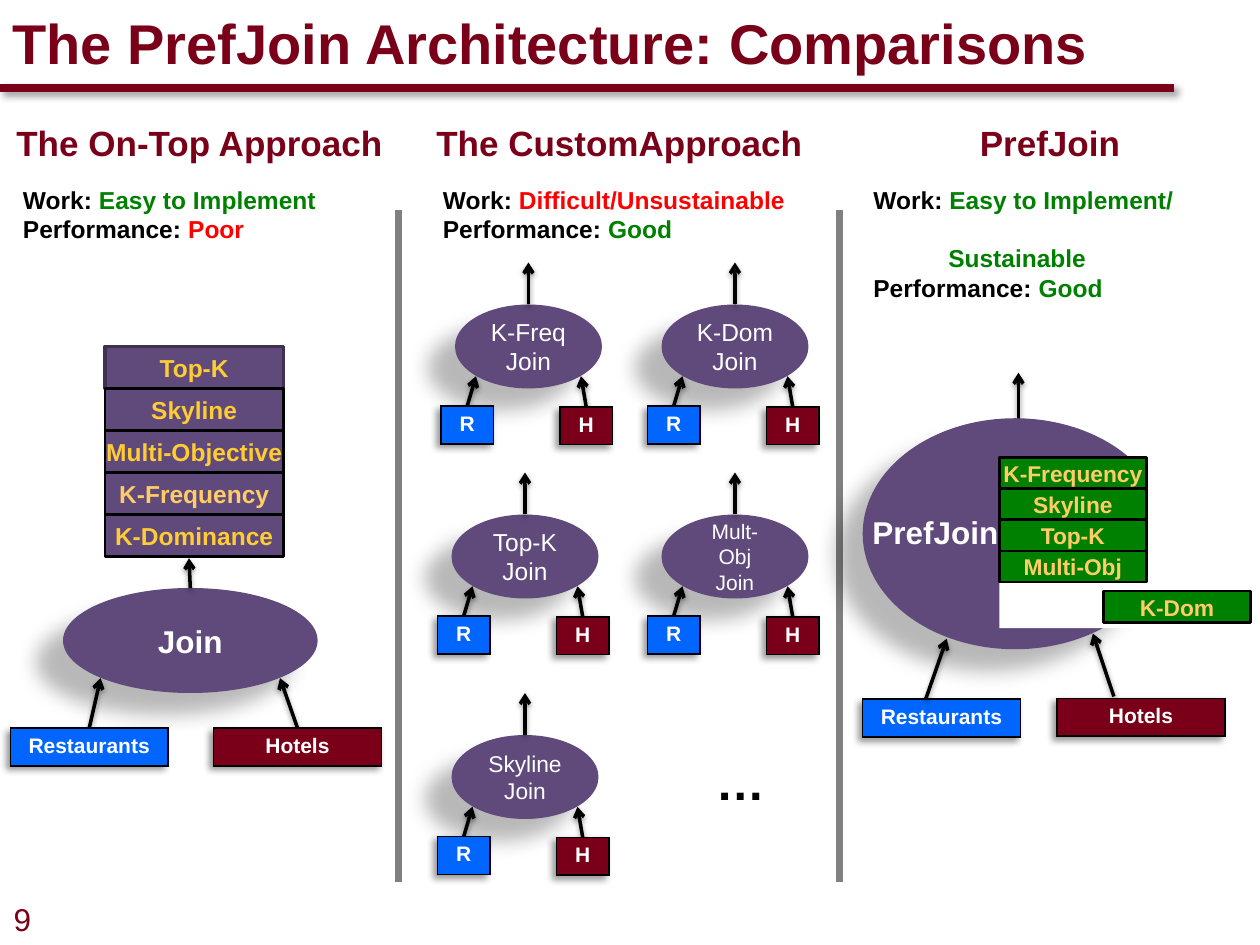
from dataclasses import dataclass
from typing import Any, NamedTuple

from lxml import etree
from pptx import Presentation
from pptx import util as u
from pptx.dml.color import RGBColor
from pptx.enum import shapes, text
from pptx.oxml import ns

Pt = u.Pt
MAROON = RGBColor(0x7A, 0x00, 0x19)
PURPLE = RGBColor(0x60, 0x4A, 0x7B)
DARK_PURPLE = RGBColor(0x40, 0x31, 0x52)
BLUE = RGBColor(0x00, 0x66, 0xFF)
GREEN = RGBColor(0x00, 0x80, 0x00)
RED = RGBColor(0xFF, 0x00, 0x00)
GOLD = RGBColor(0xFF, 0xCC, 0x33)
LIGHT_GOLD = RGBColor(0xFF, 0xCC, 0x66)
GRAY = RGBColor(0x80, 0x80, 0x80)
BLACK = RGBColor(0x00, 0x00, 0x00)
WHITE = RGBColor(0xFF, 0xFF, 0xFF)
CENTER = text.PP_ALIGN.CENTER
LEFT = text.PP_ALIGN.LEFT
OVAL = shapes.MSO_SHAPE.OVAL
RECTANGLE = shapes.MSO_SHAPE.RECTANGLE


class Box(NamedTuple):
    left: float
    top: float
    width: float
    height: float


class Shadow(NamedTuple):
    alpha: int
    blur: float
    distance: float
    angle: int


class Style(NamedTuple):
    size: float
    color: RGBColor
    bold: bool = True
    align: Any = CENTER


@dataclass(frozen=True)
class Line:
    runs: tuple[tuple[str, RGBColor], ...]
    space_before: float = 0
    indent: float = 0


@dataclass(frozen=True)
class Approach:
    title: str
    title_box: Box
    verdict_box: Box
    verdict: tuple[Line, ...]


@dataclass(frozen=True)
class JoinOperator:
    name: str
    left: float
    top: float
    size: float = 14


OVAL_SHADOW = Shadow(28, 11.8, 19.7, 141)
ARROW_SHADOW = Shadow(38, 3.1, 1.6, 90)
RULE_SHADOW = Shadow(40, 4, 3, 45)
TABLE_SHADOW = Shadow(40, 4, 3, 135)

APPROACHES = (
    Approach("The On-Top Approach", Box(0, 66, 228, 31.5), Box(6, 102, 204, 41),
             (Line((("Work: ", BLACK), ("Easy to Implement", GREEN))),
              Line((("Performance: ", BLACK), ("Poor", RED))))),
    Approach("The CustomApproach", Box(228, 66, 252, 31.5), Box(246, 102, 216, 41),
             (Line((("Work: ", BLACK), ("Difficult/Unsustainable", RED))),
              Line((("Performance: ", BLACK), ("Good", GREEN))))),
    Approach("PrefJoin", Box(480, 66, 240, 31.5), Box(492, 102, 216, 58),
             (Line((("Work: ", BLACK), ("Easy to Implement/", GREEN))),
              Line((("Sustainable", GREEN),), 16.8, 42.8),
              Line((("Performance: ", BLACK), ("Good", GREEN))))),
)
JOIN_OPERATORS = (
    JoinOperator("Skyline", 258, 420, 13),
    JoinOperator("K-Dom", 378, 174),
    JoinOperator("Top-K", 258, 294),
    JoinOperator("Mult-Obj", 378, 294, 12),
    JoinOperator("K-Freq", 260, 174),
)
ON_TOP_STACK = ("Top-K", "Skyline", "Multi-Objective", "K-Frequency", "K-Dominance")
PREFJOIN_STACK = ("K-Frequency", "Skyline", "Top-K", "Multi-Obj")


def apply(target: Any, **values: Any) -> None:
    for name, value in values.items():
        setattr(target, name, value)


def points(box: Box) -> list[u.Length]:
    return [Pt(value) for value in box]


def add_effects(parent: Any, shadow: Shadow | None, index: int | None = None) -> None:
    effects = etree.Element(ns.qn("a:effectLst"))
    if shadow:
        outer = etree.SubElement(effects, ns.qn("a:outerShdw"), blurRad=str(Pt(shadow.blur)),
                                 dist=str(Pt(shadow.distance)), dir=str(shadow.angle * 60000),
                                 algn="ctr", rotWithShape="0")
        color = etree.SubElement(outer, ns.qn("a:srgbClr"), val=str(BLACK))
        etree.SubElement(color, ns.qn("a:alpha"), val=str(shadow.alpha * 1000))
    parent.insert(len(parent) if index is None else index, effects)


def write(frame: Any, lines: tuple[Line, ...], style: Style) -> None:
    for index, line in enumerate(lines):
        paragraph = frame.paragraphs[0] if index == 0 else frame.add_paragraph()
        apply(paragraph, alignment=style.align, space_before=Pt(line.space_before))
        if line.indent:
            paragraph._p.get_or_add_pPr().set("marL", str(Pt(line.indent)))
        for words, color in line.runs:
            run = paragraph.add_run()
            run.text = words
            apply(run.font, size=Pt(style.size), bold=style.bold, name="Arial")
            run.font.color.rgb = color


def plain(words: str, color: RGBColor) -> tuple[Line, ...]:
    return tuple(Line(((part, color),)) for part in words.split("\n"))


def add_text(slide: Any, box: Box, lines: tuple[Line, ...], style: Style, wrap: bool = True) -> None:
    frame = slide.shapes.add_textbox(*points(box)).text_frame
    frame.word_wrap = wrap
    write(frame, lines, style)


def add_block(slide: Any, kind: Any, box: Box, fill: RGBColor, words: str = "",
              style: Style = Style(14, WHITE), outline: RGBColor | None = None,
              weight: float = 1.5) -> Any:
    shape = slide.shapes.add_shape(kind, *points(box))
    shape.fill.solid()
    shape.fill.fore_color.rgb = fill
    if outline is None:
        shape.line.fill.background()
    else:
        shape.line.color.rgb = outline
        shape.line.width = Pt(weight)
    if kind == OVAL:
        add_effects(shape._element.spPr, OVAL_SHADOW)
    else:
        shape.shadow.inherit = False
    apply(shape.text_frame, word_wrap=kind == OVAL, vertical_anchor=text.MSO_ANCHOR.MIDDLE)
    if words:
        write(shape.text_frame, plain(words, style.color), style)
    return shape


def add_line(slide: Any, start: tuple[float, float], end: tuple[float, float], color: RGBColor,
             weight: float, shadow: Shadow | None = None) -> Any:
    connector = slide.shapes.add_connector(shapes.MSO_CONNECTOR.STRAIGHT, *map(Pt, (*start, *end)))
    connector.line.color.rgb = color
    connector.line.width = Pt(weight)
    add_effects(connector._element.spPr, shadow)
    return connector


def add_arrow(slide: Any, start: tuple[float, float], end: tuple[float, float],
              source: Any = None) -> None:
    connector = add_line(slide, start, end, BLACK, 2, ARROW_SHADOW)
    etree.SubElement(connector.line._get_or_add_ln(), ns.qn("a:tailEnd"), type="arrow")
    if source is not None:
        connector.begin_connect(source, 0)


def add_relation(slide: Any, box: Box, name: str, fill: RGBColor) -> None:
    table = slide.shapes.add_table(1, 1, *points(box)).table
    add_effects(table._tbl.tblPr, TABLE_SHADOW, 0)
    cell = table.cell(0, 0)
    cell.fill.solid()
    cell.fill.fore_color.rgb = fill
    write(cell.text_frame, plain(name, WHITE), Style(12, WHITE))
    for index, side in enumerate(("lnL", "lnR", "lnT", "lnB")):
        border = etree.Element(ns.qn(f"a:{side}"), w=str(Pt(1)))
        solid = etree.SubElement(border, ns.qn("a:solidFill"))
        etree.SubElement(solid, ns.qn("a:srgbClr"), val=str(BLACK))
        cell._tc.get_or_add_tcPr().insert(index, border)


def add_stack(slide: Any, names: tuple[str, ...], first: Box, fill: RGBColor, style: Style) -> None:
    for index, name in enumerate(names):
        box = first._replace(top=first.top + index * first.height)
        add_block(slide, RECTANGLE, box, fill, name, style, BLACK)


def add_join(slide: Any, join: JoinOperator) -> None:
    x, y = join.left, join.top
    oval = add_block(slide, OVAL, Box(x, y, 84, 48), PURPLE, f"{join.name}\nJoin",
                     Style(join.size, WHITE, False))
    add_arrow(slide, (x + 7, y + 58), (x + 12, y + 41))
    add_arrow(slide, (x + 75, y + 58.5), (x + 72, y + 41))
    add_arrow(slide, (x + 42, y), (x + 42, y - 24), oval)
    add_relation(slide, Box(x - 8, y + 58, 30, 21.6), "R", BLUE)
    add_relation(slide, Box(x + 60, y + 58.5, 30, 21.6), "H", MAROON)


def add_on_top(slide: Any) -> None:
    oval = add_block(slide, OVAL, Box(36, 336, 145.5, 60), PURPLE, "Join", Style(18, WHITE))
    add_arrow(slide, (51, 416), (57.5, 387.5))
    add_arrow(slide, (170, 416), (160, 387.5))
    add_arrow(slide, (108.75, 336), (108, 319), oval)
    add_relation(slide, Box(6, 416, 90, 21.6), "Restaurants", BLUE)
    add_relation(slide, Box(122, 416, 96, 21.6), "Hotels", MAROON)
    add_block(slide, RECTANGLE, Box(60, 198, 102, 24), PURPLE, ON_TOP_STACK[0],
              Style(14, GOLD), DARK_PURPLE, 2)
    add_stack(slide, ON_TOP_STACK[1:3], Box(60, 222, 102, 24), PURPLE, Style(14, GOLD))
    add_stack(slide, ON_TOP_STACK[3:4], Box(60, 270, 102, 24), PURPLE, Style(14, LIGHT_GOLD))
    add_stack(slide, ON_TOP_STACK[4:], Box(60, 294, 102, 24), PURPLE, Style(14, GOLD))


def add_prefjoin(slide: Any) -> None:
    add_arrow(slide, (582, 243), (582, 213))
    add_block(slide, OVAL, Box(493, 239, 174, 132), PURPLE)
    add_block(slide, RECTANGLE, Box(571, 261, 120, 98), WHITE)
    style = Style(13, LIGHT_GOLD)
    add_stack(slide, PREFJOIN_STACK, Box(571, 261.4, 84, 17.8), GREEN, style)
    add_stack(slide, ("K-Dom",), Box(630.5, 337.8, 84, 18), GREEN, style)
    add_relation(slide, Box(604, 399, 96, 21.6), "Hotels", MAROON)
    add_relation(slide, Box(493, 399.5, 90, 21.6), "Restaurants", BLUE)
    add_arrow(slide, (636.5, 398), (624.5, 362))
    add_arrow(slide, (529, 399.5), (541, 365))
    add_text(slide, Box(489.5, 289.5, 90, 29), plain("PrefJoin", WHITE), Style(18, WHITE))


def main() -> None:
    presentation = Presentation()
    apply(presentation, slide_width=Pt(720), slide_height=Pt(540))
    slide = presentation.slides.add_slide(presentation.slide_layouts[5])
    title = slide.shapes.title
    apply(title, left=Pt(0), top=Pt(0), width=Pt(720), height=Pt(48))
    apply(title.text_frame, vertical_anchor=text.MSO_ANCHOR.MIDDLE, auto_size=text.MSO_AUTO_SIZE.NONE)
    write(title.text_frame, plain("The PrefJoin Architecture: Comparisons", MAROON),
          Style(32, MAROON, align=LEFT))
    add_text(slide, Box(0.7, 510.5, 37, 29), plain("9", MAROON), Style(18, MAROON, False, LEFT), False)
    add_line(slide, (-0.7, 50.4), (671, 50.4), MAROON, 4.5, RULE_SHADOW)
    for x in (480, 228):
        add_line(slide, (x, 120), (x, 504), GRAY, 4)
    add_on_top(slide)
    for join in JOIN_OPERATORS:
        add_join(slide, join)
    add_text(slide, Box(384, 426, 78, 41), plain("…", BLACK), Style(28, BLACK))
    add_prefjoin(slide)
    for approach in APPROACHES:
        add_text(slide, approach.title_box, plain(approach.title, MAROON), Style(20, MAROON))
        add_text(slide, approach.verdict_box, approach.verdict, Style(14, BLACK, align=LEFT))
    presentation.save("out.pptx")


if __name__ == "__main__":
    main()
